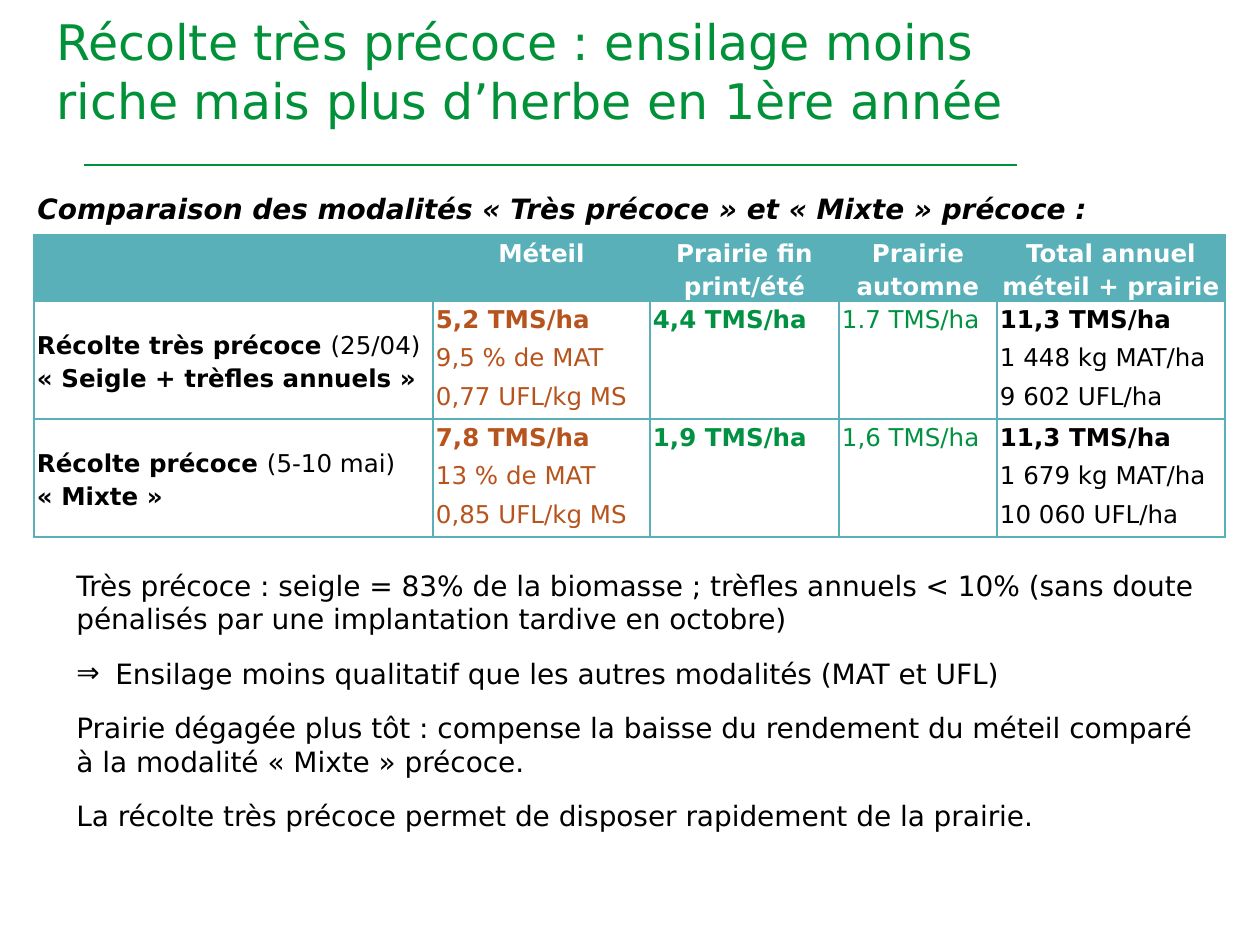
from dataclasses import dataclass

from lxml import etree
from pptx import Presentation
from pptx import util as u
from pptx.dml.color import RGBColor
from pptx.enum import shapes, text
from pptx.oxml import ns

SCALE = u.Inches(10) / 1260
FONT = "DejaVu Sans"
COLOURS = {
    "title": "009139",
    "teal": "59B0B9",
    "rust": "B7541D",
    "green": "009242",
    "black": "000000",
    "white": "FFFFFF",
}


@dataclass(frozen=True)
class Run:
    text: str
    bold: bool = False
    colour: str = "black"
    size: int = 14
    italic: bool = False


@dataclass(frozen=True)
class Para:
    runs: tuple[Run, ...]
    before: int = 0
    after: int = 0
    spacing: float = 1.0
    centred: bool = False
    bullet: str = ""


@dataclass(frozen=True)
class Harvest:
    name: str
    date: str
    mixture: str
    meteil: tuple[str, ...]
    summer: str
    autumn: str
    total: tuple[str, ...]


COLUMNS = (399, 217, 189, 158, 228)
ROWS = (66, 118, 118)
HEADERS = ("", "Méteil", "Prairie fin print/été", "Prairie automne", "Total annuel méteil + prairie")
HARVESTS = (
    Harvest("Récolte très précoce ", "(25/04)", "« Seigle + trèfles annuels »",
            ("5,2 TMS/ha", "9,5 % de MAT", "0,77 UFL/kg MS"), "4,4 TMS/ha", "1.7 TMS/ha",
            ("11,3 TMS/ha", "1 448 kg MAT/ha", "9 602 UFL/ha")),
    Harvest("Récolte précoce ", "(5-10 mai)", "« Mixte »",
            ("7,8 TMS/ha", "13 % de MAT", "0,85 UFL/kg MS"), "1,9 TMS/ha", "1,6 TMS/ha",
            ("11,3 TMS/ha", "1 679 kg MAT/ha", "10 060 UFL/ha")),
)
COMMENTS = (
    ("", "Très précoce : seigle = 83% de la biomasse ; trèfles annuels < 10% "
         "(sans doute pénalisés par une implantation tardive en octobre)"),
    ("⇒", "Ensilage moins qualitatif que les autres modalités (MAT et UFL)"),
    ("", "Prairie dégagée plus tôt : compense la baisse du rendement du méteil "
         "comparé à la modalité « Mixte » précoce."),
    ("", "La récolte très précoce permet de disposer rapidement de la prairie."),
)


def px(value: int) -> int:
    return round(value * SCALE)


def rgb(name: str) -> RGBColor:
    return RGBColor.from_string(COLOURS[name])


def add_bullet(paragraph, character: str) -> None:
    properties = paragraph._p.get_or_add_pPr()
    properties.set("marL", str(px(39)))
    properties.set("indent", str(px(-39)))
    etree.SubElement(properties, ns.qn("a:buFont"), typeface=FONT)
    etree.SubElement(properties, ns.qn("a:buChar"), char=character)


def write(frame, paras: tuple[Para, ...]) -> None:
    for index, para in enumerate(paras):
        paragraph = frame.add_paragraph() if index else frame.paragraphs[0]
        paragraph.alignment = text.PP_ALIGN.CENTER if para.centred else text.PP_ALIGN.LEFT
        paragraph.line_spacing = para.spacing
        paragraph.space_before = u.Pt(para.before if index else 0)
        paragraph.space_after = u.Pt(para.after)
        if para.bullet:
            add_bullet(paragraph, para.bullet)
        for item in para.runs:
            run = paragraph.add_run()
            run.text = item.text
            run.font.name = FONT
            run.font.size = u.Pt(item.size)
            run.font.bold = item.bold
            run.font.italic = item.italic
            run.font.color.rgb = rgb(item.colour)


def add_title(slide, left: int, top: int, width: int, height: int, run: Run) -> None:
    title = slide.shapes.title
    title.left, title.top, title.width, title.height = map(px, (left, top, width, height))
    frame = title.text_frame
    frame.word_wrap = True
    frame.auto_size = text.MSO_AUTO_SIZE.NONE
    frame.vertical_anchor = text.MSO_ANCHOR.MIDDLE
    write(frame, (Para((run,)),))


def add_text(slide, left: int, top: int, width: int, height: int, paras: tuple[Para, ...]) -> None:
    box = slide.shapes.add_textbox(px(left), px(top), px(width), px(height))
    box.text_frame.word_wrap = True
    write(box.text_frame, paras)


def add_rule(slide, start: int, end: int, y: int) -> None:
    rule = slide.shapes.add_connector(shapes.MSO_CONNECTOR.STRAIGHT, px(start), px(y), px(end), px(y))
    rule.line.color.rgb = rgb("title")
    rule.line.width = u.Pt(1.5)
    etree.SubElement(rule._element.spPr, ns.qn("a:effectLst"))


def add_borders(cell) -> None:
    properties = cell._tc.get_or_add_tcPr()
    for side in ("lnL", "lnR", "lnT", "lnB"):
        line = etree.SubElement(properties, ns.qn(f"a:{side}"), w=str(u.Pt(1)))
        fill = etree.SubElement(line, ns.qn("a:solidFill"))
        etree.SubElement(fill, ns.qn("a:srgbClr"), val=COLOURS["teal"])


def values(lines: tuple[str, ...], colour: str, bold: bool = True) -> tuple[Para, ...]:
    return tuple(
        Para((Run(line, bold and index == 0, colour),), after=3, spacing=1.15)
        for index, line in enumerate(lines)
    )


def harvest_cells(harvest: Harvest) -> tuple[tuple[Para, ...], ...]:
    label = (
        Para((Run(harvest.name, True), Run(harvest.date)), spacing=1.15),
        Para((Run(harvest.mixture, True),), spacing=1.15),
    )
    return (
        label,
        values(harvest.meteil, "rust"),
        values((harvest.summer,), "green"),
        values((harvest.autumn,), "green", bold=False),
        values(harvest.total, "black"),
    )


def add_harvest_table(slide, left: int, top: int) -> None:
    header = tuple(
        (Para((Run(name, True, "white"),), spacing=1.15, centred=True),) if name else ()
        for name in HEADERS
    )
    contents = (header, *map(harvest_cells, HARVESTS))
    table = slide.shapes.add_table(
        len(ROWS), len(COLUMNS), px(left), px(top), px(sum(COLUMNS)), px(sum(ROWS))
    ).table
    table.first_row = table.horz_banding = False
    for column, width in zip(table.columns, COLUMNS):
        column.width = px(width)
    for row_index, (row, height) in enumerate(zip(table.rows, ROWS)):
        row.height = px(height)
        for column_index, cell in enumerate(row.cells):
            add_borders(cell)
            if row_index:
                cell.fill.background()
            else:
                cell.fill.solid()
                cell.fill.fore_color.rgb = rgb("teal")
            cell.margin_left = cell.margin_right = px(3)
            cell.margin_top = cell.margin_bottom = 0
            is_label = row_index and not column_index
            cell.vertical_anchor = text.MSO_ANCHOR.MIDDLE if is_label else text.MSO_ANCHOR.TOP
            write(cell.text_frame, contents[row_index][column_index])


def main() -> None:
    presentation = Presentation()
    presentation.slide_width, presentation.slide_height = px(1260), px(945)
    slide = presentation.slides.add_slide(presentation.slide_layouts.get_by_name("Title Only"))
    add_rule(slide, 1017, 84, 165)
    add_harvest_table(slide, 34, 235)
    add_title(slide, 44, 26, 1012, 89, Run(
        "Récolte très précoce : ensilage moins riche mais plus d’herbe en 1ère année", False, "title", 28))
    add_text(slide, 25, 185, 1181, 47, (Para((Run(
        "Comparaison des modalités « Très précoce » et « Mixte » précoce :", True, size=16, italic=True),)),))
    add_text(slide, 64, 562, 1150, 280, tuple(
        Para((Run(comment, size=16),), before=12, bullet=bullet) for bullet, comment in COMMENTS))
    presentation.save("out.pptx")


if __name__ == "__main__":
    main()
